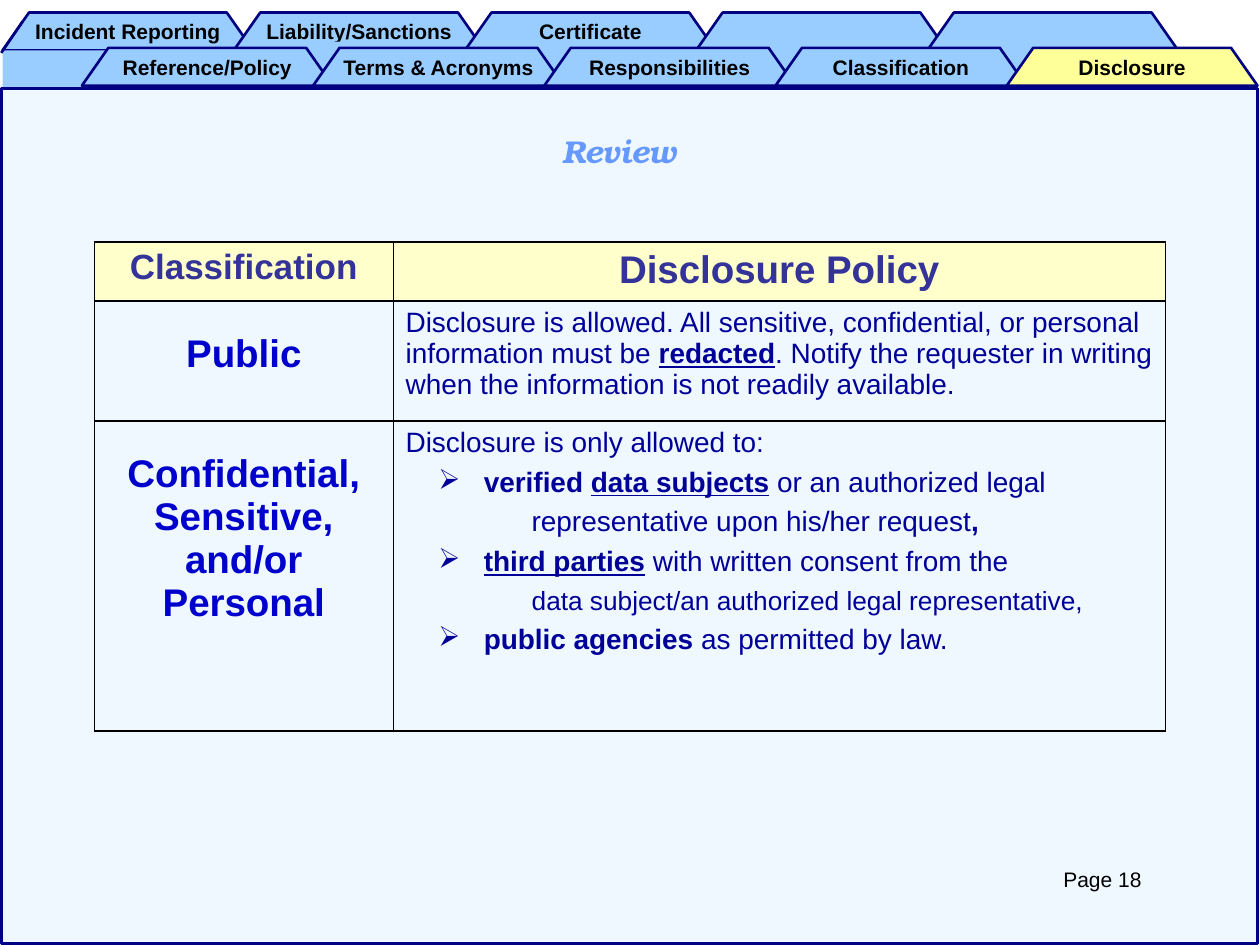
from lxml import etree
from pptx import Presentation
from pptx.dml.color import RGBColor as Color
from pptx.enum.shapes import MSO_CONNECTOR as Connector, MSO_SHAPE as Preset
from pptx.enum.text import MSO_ANCHOR as Anchor, PP_ALIGN as Align
from pptx.oxml import parse_xml
from pptx.oxml.ns import nsdecls, qn
from pptx.util import Inches, Pt

COLORS = {
    "tab": "99CCFF", "active": "FFFF99", "line": "000080", "black": "000000",
    "header": "FFFFCC", "heading": "333399", "label": "0000CC",
    "body": "000099", "title": "6699FF",
}
BACK_TABS = ["Incident Reporting", "Liability/Sanctions", "Certificate", "", ""]
FRONT_TABS = ["Reference/Policy", "Terms & Acronyms", "Responsibilities",
              "Classification", "Disclosure"]
TAB_JOINS = [(0.02, 0.4, 1.65, 0.3), (2.17, 0.33, 0.83, 0.25), (4, 0.38, 0.83, 0.25),
             (5.9, 0.36, 0.75, 0.25), (7.75, 0.38, 0.75, 0.25)]
TAB_STEP = 7.34 / 4
PUBLIC_POLICY = [
    (0, 16, [("Disclosure is allowed. All sensitive, confidential, or personal "
              "information must be ", ""), ("redacted", "bu"),
             (". Notify the requester in writing when the information is not "
              "readily available.", "")]),
]
RESTRICTED_POLICY = [
    (0, 16, [("Disclosure is only allowed to:", "")]),
    (1, 16, [("verified ", "b"), ("data subjects", "bu"), (" or an authorized legal", "")]),
    (2, 16, [("representative upon his/her request", ""), (",", "b")]),
    (1, 16, [("third parties", "bu"), (" with written consent from the", "")]),
    (2, 15, [("data subject/an authorized legal representative,", "")]),
    (1, 16, [("public agencies", "b"), (" as permitted by law.", "")]),
]


class SlideBuilder:
    """Holds the style and the current slide, and draws each kind of element."""

    def __init__(self, page, font="Arial", line_width=1.5):
        self.page = page
        self.font = font
        self.line_width = line_width

    def color(self, name):
        return Color.from_string(COLORS[name])

    def style(self, para, size, color, bold=None, italic=None, font=None):
        para.font.name = font or self.font
        para.font.size = Pt(size)
        para.font.color.rgb = self.color(color)
        para.font.bold = bold
        para.font.italic = italic

    def paint(self, shape, fill=None, line=None):
        shape.shadow.inherit = False
        if fill:
            shape.fill.solid()
            shape.fill.fore_color.rgb = self.color(fill)
        else:
            shape.fill.background()
        if line:
            shape.line.color.rgb = self.color(line)
            shape.line.width = Pt(self.line_width)
        else:
            shape.line.fill.background()

    def rectangle(self, left, top, width, height, fill=None, line=None, alpha=None):
        shape = self.page.shapes.add_shape(
            Preset.RECTANGLE, Inches(left), Inches(top), Inches(width), Inches(height))
        self.paint(shape, fill, line)
        if alpha:
            tint = shape.fill._xPr.find(".//" + qn("a:srgbClr"))
            etree.SubElement(tint, qn("a:alpha")).set("val", str(alpha * 1000))

    def line(self, start, end):
        connector = self.page.shapes.add_connector(
            Connector.STRAIGHT, *map(Inches, start + end))
        connector.line.color.rgb = self.color("line")
        connector.line.width = Pt(self.line_width)
        etree.SubElement(connector._element.spPr, qn("a:effectLst"))

    def tab(self, left, top, label, fill="tab", width=1.99, height=0.3, slope=0.21):
        right, bottom = left + width, top + height
        corners = [(left + slope, top), (right - slope, top), (right, bottom)]
        outline = self.page.shapes.build_freeform(Inches(left), Inches(bottom))
        outline.add_line_segments([(Inches(x), Inches(y)) for x, y in corners])
        shape = outline.convert_to_shape()
        self.paint(shape, fill, "line")
        if label:
            frame = shape.text_frame
            frame.word_wrap = False
            frame.vertical_anchor = Anchor.MIDDLE
            para = frame.paragraphs[0]
            para.text = label
            para.alignment = Align.CENTER
            self.style(para, 12, "black", bold=True)

    def text(self, left, top, width, height, words, size, color, **style):
        box = self.page.shapes.add_textbox(
            Inches(left), Inches(top), Inches(width), Inches(height))
        box.text_frame.word_wrap = True
        para = box.text_frame.paragraphs[0]
        para.text = words
        para.alignment = Align.CENTER
        self.style(para, size, color, **style)

    def table(self, left, top, columns, rows):
        table = self.page.shapes.add_table(
            len(rows), len(columns), Inches(left), Inches(top),
            Inches(sum(columns)), Inches(sum(rows))).table
        table.first_row = table.horz_banding = False
        for column, width in zip(table.columns, columns):
            column.width = Inches(width)
        for row, height in zip(table.rows, rows):
            row.height = Inches(height)
        for index, row in enumerate(table.rows):
            for cell in row.cells:
                if index == 0:
                    cell.fill.solid()
                    cell.fill.fore_color.rgb = self.color("header")
                else:
                    cell.fill.background()
                self.borders(cell)
        return table

    def borders(self, cell):
        properties = cell._tc.get_or_add_tcPr()
        for index, side in enumerate("LRTB"):
            width = Pt(1.08) if side in "TB" else Pt(0.75)
            properties.insert(index, parse_xml(
                f'<a:ln{side} {nsdecls("a")} w="{width}"><a:solidFill>'
                f'<a:srgbClr val="{COLORS["black"]}"/></a:solidFill></a:ln{side}>'))

    def label(self, cell, words, size, color, margin=0.05):
        cell.margin_top = Inches(margin)
        para = cell.text_frame.paragraphs[0]
        para.text = words
        para.alignment = Align.CENTER
        self.style(para, size, color, bold=True)

    def policy(self, cell, lines):
        frame = cell.text_frame
        for index, (level, size, spans) in enumerate(lines):
            para = frame.add_paragraph() if index else frame.paragraphs[0]
            if level:
                self.indent(para, level)
                para.space_before = Pt(5)
            self.style(para, size, "body")
            for words, marks in spans:
                span = para.add_run()
                span.text = words
                span.font.bold = "b" in marks
                span.font.underline = "u" in marks

    def indent(self, para, level):
        properties = para._p.get_or_add_pPr()
        margin, hanging = {1: (0.62, -0.36), 2: (1, 0)}[level]
        properties.set("marL", str(Inches(margin)))
        properties.set("indent", str(Inches(hanging)))
        if level == 1:
            bullet_color = etree.SubElement(properties, qn("a:buClr"))
            etree.SubElement(bullet_color, qn("a:srgbClr")).set("val", COLORS["body"])
            etree.SubElement(properties, qn("a:buChar")).set("char", "➢")


def main():
    deck = Presentation()
    deck.slide_width, deck.slide_height = Inches(10), Inches(7.5)
    builder = SlideBuilder(deck.slides.add_slide(deck.slide_layouts[6]))

    for index, (label, join) in enumerate(zip(BACK_TABS, TAB_JOINS)):
        builder.tab(0.02 + index * TAB_STEP, 0.1, label)
        builder.rectangle(*join, fill="tab")
    builder.line((0.01, 0.42), (0.18, 0.17))
    builder.rectangle(0, 0.67, 10, 6.83, fill="tab", alpha=15)
    builder.rectangle(0.01, 0.7, 9.97, 6.79, line="line")
    for index, label in enumerate(FRONT_TABS):
        fill = "active" if label == "Disclosure" else "tab"
        builder.tab(0.65 + index * TAB_STEP, 0.38, label, fill)

    table = builder.table(0.75, 1.92, [2.37, 6.13], [0.47, 0.95, 2.46])
    builder.label(table.cell(0, 0), "Classification", 20, "heading")
    builder.label(table.cell(0, 1), "Disclosure Policy", 22, "heading")
    builder.label(table.cell(1, 0), "Public", 22, "label", 0.25)
    builder.label(table.cell(2, 0), "Confidential, Sensitive, and/or Personal",
                  22, "label", 0.25)
    builder.policy(table.cell(1, 1), PUBLIC_POLICY)
    builder.policy(table.cell(2, 1), RESTRICTED_POLICY)

    builder.text(2.83, 1, 4.17, 0.58, "Review", 18, "title",
                 bold=True, italic=True, font="TeX Gyre Bonum")
    builder.text(7.75, 6.83, 2, 0.3, "Page 18", 12, "black")
    deck.save("out.pptx")


if __name__ == "__main__":
    main()
